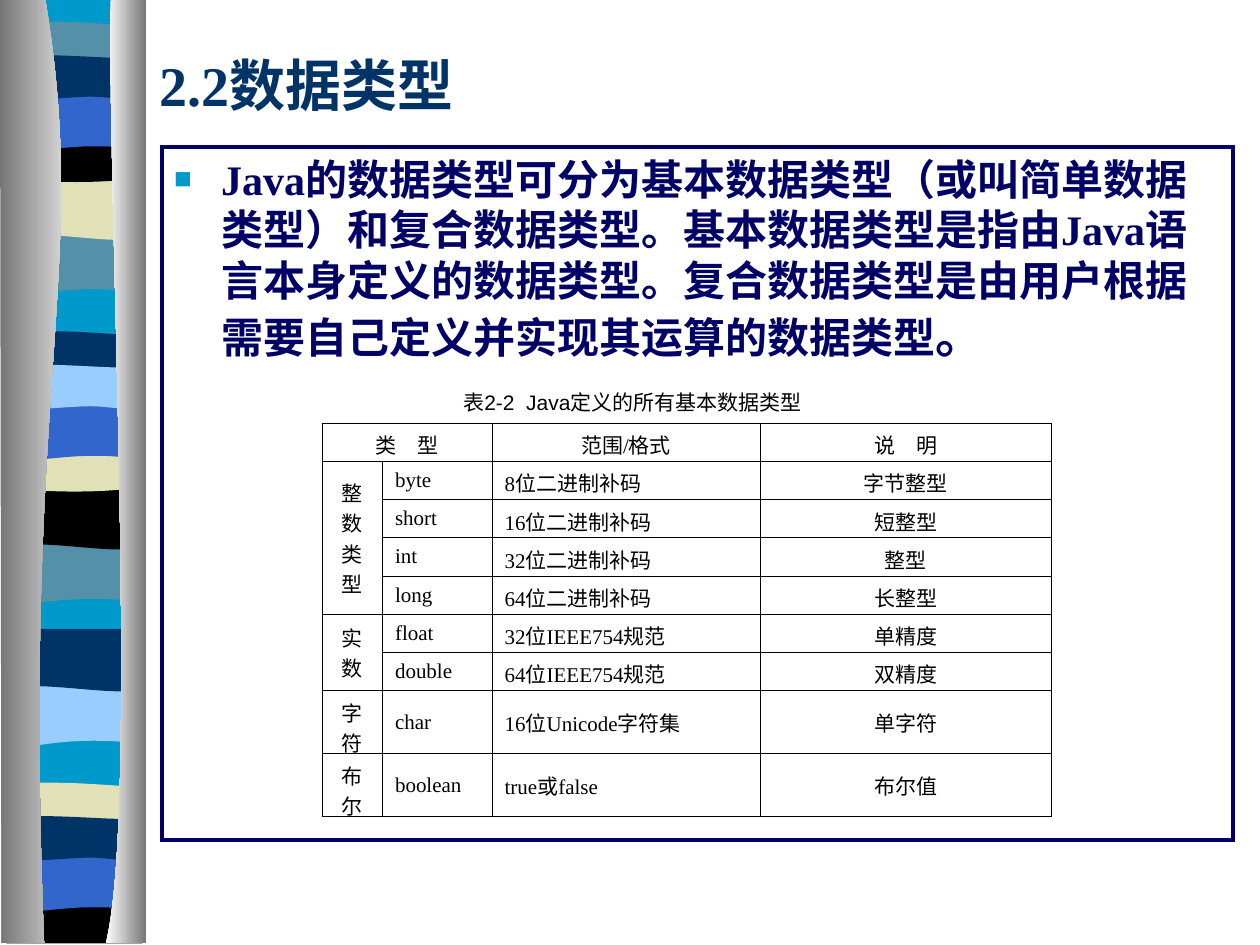
from dataclasses import dataclass

from lxml.etree import SubElement
from pptx import Presentation
from pptx.dml.color import RGBColor
from pptx.enum.shapes import MSO_SHAPE
from pptx.enum.text import MSO_ANCHOR, PP_ALIGN
from pptx.oxml.ns import qn
from pptx.util import Cm, Pt


@dataclass(frozen=True)
class Theme:
    navy: str = "003366"
    ink: str = "000066"
    black: str = "000000"
    cyan: str = "0099CC"
    steel: str = "5490A8"
    sand: str = "E1E1B7"
    blue: str = "3366CC"
    sky: str = "99CCFF"
    metal: str = "767676"
    white: str = "FFFFFF"
    serif: str = "Times New Roman"
    sans: str = "Arial"
    title_size: int = 32
    body_size: int = 24
    stop_size: int = 28
    small_size: int = 12
    frame_width: float = 2.25
    thin: float = 0.45
    thick: float = 1.08


THEME = Theme()
BAND_OUTLINES = {
    "wave": [(2.74, 0), (2.74, 1.19), (0.84, 0.99, 0.46, 1.4, 0, 1.19), (0, 0)],
    "slope": [(2.74, 0), (2.74, 1.19), (2.29, 1.4, 0.84, 1.04, 0, 1.19), (0, 0)],
    "lens": [(2.74, 0.13), (2.74, 0.74), (2.29, 0.84, 0.46, 0.84, 0, 0.74), (0, 0.13),
             (0.15, 0, 0.58, 0.03, 1.04, 0.03), (1.5, 0.03, 2.39, 0.1, 2.74, 0.13)],
    "bowl": [(2.74, 0), (2.74, 0.81), (2.29, 0.97, 0.46, 0.97, 0, 0.81), (0, 0),
             (1.68, 0.13, 2.16, 0, 2.74, 0)],
    "arch": [(2.74, 0), (2.74, 1.19), (2.31, 1.07, 2.13, 1.07, 1.68, 1.07),
             (1.22, 1.07, 0.41, 1.19, 0, 1.19), (0, 0)],
    "ribbon": [(2.74, 0.13), (2.74, 0.91), (2.57, 1.04, 2.13, 0.91, 1.68, 0.91),
               (1.22, 0.91, 0.28, 1.04, 0, 0.91), (0, 0.13),
               (0.38, 0, 1.85, 0.13, 2.31, 0.13), (2.77, 0.13, 2.64, 0.13, 2.74, 0.13)],
    "floor": [(2.74, 0), (2.74, 0.94), (0, 0.94), (0, 0), (1.68, 0.13, 2.16, 0, 2.74, 0)],
}
BAND_TOPS = {"wave": 4.7, "slope": 3.58, "lens": 0.41, "bowl": 2.74,
             "arch": 1.88, "ribbon": 1.04, "floor": 2.74}
BAND_STACKS = [
    (0.15, 0, {"wave": THEME.steel, "slope": THEME.sand, "lens": THEME.steel,
               "bowl": THEME.black, "arch": THEME.blue, "ribbon": THEME.navy}),
    (0.13, 6.24, {"wave": THEME.steel, "slope": THEME.black, "lens": THEME.navy,
                  "bowl": THEME.sand, "arch": THEME.blue, "ribbon": THEME.sky}),
    (0.15, 9.1, {"wave": THEME.sky, "slope": THEME.navy}),
    (0.13, 15.34, {"lens": THEME.sand, "floor": THEME.black,
                   "arch": THEME.blue, "ribbon": THEME.navy}),
]
BACKDROP = [(2.9, -0.03), (2.9, 18.97), (0.15, 18.97), (0.15, -0.03)]
LEFT_COLUMN = [(0.91, -0.03), (1.83, 5.49, 0.43, 7.52, 0.89, 19.02), (0.03, 19.02), (0, -0.03)]
RIGHT_COLUMN = [(2.24, -0.03), (2.13, 3.18, 2.83, 16.41, 2.13, 19.02), (2.95, 19.02), (2.95, 0)]

BODY_TEXT = ("Java的数据类型可分为基本数据类型（或叫简单数据类型）和复合数据类型。"
             "基本数据类型是指由Java语言本身定义的数据类型。"
             "复合数据类型是由用户根据需要自己定义并实现其运算的数据类型")
COLUMN_WIDTHS = [1.21, 2.21, 5.4, 5.88]
ROW_HEIGHTS = [0.77] * 7 + [1.27] * 2
TABLE_ROWS = [
    ("类　型", "", "范围/格式", "说　明"),
    ("整数\n类型", "byte", "8位二进制补码", "字节整型"),
    ("", "short", "16位二进制补码", "短整型"),
    ("", "int", "32位二进制补码", "整型"),
    ("", "long", "64位二进制补码", "长整型"),
    ("实数", "float", "32位IEEE754规范", "单精度"),
    ("", "double", "64位IEEE754规范", "双精度"),
    ("字符", "char", "16位Unicode字符集", "单字符"),
    ("布尔", "boolean", "true或false", "布尔值"),
]
MERGES = [((0, 0), (0, 1)), ((1, 0), (4, 0)), ((5, 0), (6, 0))]
THIN_EDGED_TYPE = "long"


def apply_format(target, values):
    for name, value in values.items():
        setattr(target, name, value)


def font_format(size, name=THEME.serif, bold=False):
    return {"size": Pt(size), "name": name, "bold": bold}


def add_run(paragraph, text, color, values):
    run = paragraph.add_run()
    run.text = text
    apply_format(run.font, values)
    run.font.color.rgb = RGBColor.from_string(color)


def bend_segments(shape, segments):
    lines = iter(list(shape._element.iter(qn("a:lnTo"))))
    for segment in segments:
        line = next(lines)
        if len(segment) == 6:
            line.tag = qn("a:cubicBezTo")
            for _ in range(2):
                control = next(lines)
                line.append(control[0])
                control.getparent().remove(control)


def add_outline(slide, outline, colors, left=0, top=0):
    points = [(Cm(left + segment[i]), Cm(top + segment[i + 1]))
              for segment in outline for i in range(0, len(segment), 2)]
    builder = slide.shapes.build_freeform(*points[0], scale=1.0)
    builder.add_line_segments(points[1:], close=True)
    shape = builder.convert_to_shape()
    bend_segments(shape, outline[1:])
    shape.shadow.inherit = False
    shape.line.fill.background()
    if len(colors) == 1:
        shape.fill.solid()
        shape.fill.fore_color.rgb = RGBColor.from_string(colors[0])
    else:
        shape.fill.gradient()
        shape.fill.gradient_angle = 0
        for stop, color in zip(shape.fill.gradient_stops, colors):
            stop.color.rgb = RGBColor.from_string(color)


def add_side_strip(slide):
    add_outline(slide, BACKDROP, [THEME.cyan])
    for left, offset, bands in BAND_STACKS:
        for name, color in bands.items():
            add_outline(slide, BAND_OUTLINES[name], [color], left, BAND_TOPS[name] + offset)
    add_outline(slide, LEFT_COLUMN, [THEME.metal, THEME.white])
    add_outline(slide, RIGHT_COLUMN, [THEME.white, THEME.metal])


def add_text(slide, box, text, color, values, anchor):
    shape = slide.shapes.add_textbox(*map(Cm, box))
    apply_format(shape.text_frame, {"word_wrap": True, "vertical_anchor": anchor})
    add_run(shape.text_frame.paragraphs[0], text, color, values)


def add_body(slide):
    shape = slide.shapes.add_shape(MSO_SHAPE.RECTANGLE, *map(Cm, (3.26, 2.97, 21.59, 13.97)))
    shape.shadow.inherit = False
    shape.fill.background()
    shape.line.color.rgb = RGBColor.from_string(THEME.ink)
    shape.line.width = Pt(THEME.frame_width)
    SubElement(shape.line._get_or_add_ln(), qn("a:miter"), lim="800000")
    apply_format(shape.text_frame, {"word_wrap": True, "vertical_anchor": MSO_ANCHOR.TOP})
    paragraph = shape.text_frame.paragraphs[0]
    paragraph.alignment = PP_ALIGN.LEFT
    properties = paragraph._p.get_or_add_pPr()
    properties.set("marL", str(Cm(0.95)))
    properties.set("indent", str(Cm(-0.95)))
    bullet_color = SubElement(properties, qn("a:buClr"))
    SubElement(bullet_color, qn("a:srgbClr"), val=THEME.cyan)
    SubElement(properties, qn("a:buSzPct"), val="70000")
    SubElement(properties, qn("a:buFont"), typeface=THEME.sans)
    SubElement(properties, qn("a:buChar"), char="■")
    for text, size in ((BODY_TEXT, THEME.body_size), ("。", THEME.stop_size)):
        add_run(paragraph, text, THEME.ink, font_format(size, bold=True))


def set_borders(cell, widths):
    properties = cell._tc.get_or_add_tcPr()
    for side, width in zip("LRTB", widths):
        line = SubElement(properties, qn(f"a:ln{side}"), w=str(Pt(width)))
        SubElement(SubElement(line, qn("a:solidFill")), qn("a:srgbClr"), val=THEME.black)


def fill_cell(cell, text, centered, widths):
    set_borders(cell, widths)
    cell.fill.background()
    cell.vertical_anchor = MSO_ANCHOR.MIDDLE
    cell.text = text
    for paragraph in cell.text_frame.paragraphs:
        paragraph.alignment = PP_ALIGN.CENTER if centered else PP_ALIGN.LEFT
        for run in paragraph.runs:
            apply_format(run.font, font_format(THEME.small_size))
            run.font.color.rgb = RGBColor.from_string(THEME.black)


def add_type_table(slide):
    frame = slide.shapes.add_table(len(TABLE_ROWS), len(COLUMN_WIDTHS), Cm(6.5), Cm(8.53),
                                   Cm(sum(COLUMN_WIDTHS)), Cm(sum(ROW_HEIGHTS)))
    table = frame.table
    apply_format(table, {"first_row": False, "horz_banding": False})
    for column, width in zip(table.columns, COLUMN_WIDTHS):
        column.width = Cm(width)
    for row, height in zip(table.rows, ROW_HEIGHTS):
        row.height = Cm(height)
    for first, last in MERGES:
        table.cell(*first).merge(table.cell(*last))
    for i, texts in enumerate(TABLE_ROWS):
        for j, text in enumerate(texts):
            left = THEME.thick if i > 0 and j == 0 else THEME.thin
            right = THEME.thick if j == 3 and texts[1] != THIN_EDGED_TYPE else THEME.thin
            centered = i == 0 or j in (0, 3)
            fill_cell(table.cell(i, j), text, centered, (left, right, THEME.thin, THEME.thin))


def main():
    presentation = Presentation()
    apply_format(presentation, {"slide_width": Cm(25.4), "slide_height": Cm(19.05)})
    slide = presentation.slides.add_slide(presentation.slide_layouts[6])
    add_side_strip(slide)
    add_text(slide, (2.96, 0.84, 21.59, 1.7), "2.2数据类型", THEME.navy,
             font_format(THEME.title_size, bold=True), MSO_ANCHOR.MIDDLE)
    add_body(slide)
    add_text(slide, (9.09, 7.72, 7.8, 0.77), "表2-2  Java定义的所有基本数据类型", THEME.black,
             font_format(THEME.small_size, THEME.sans), MSO_ANCHOR.TOP)
    add_type_table(slide)
    presentation.save("out.pptx")


if __name__ == "__main__":
    main()
